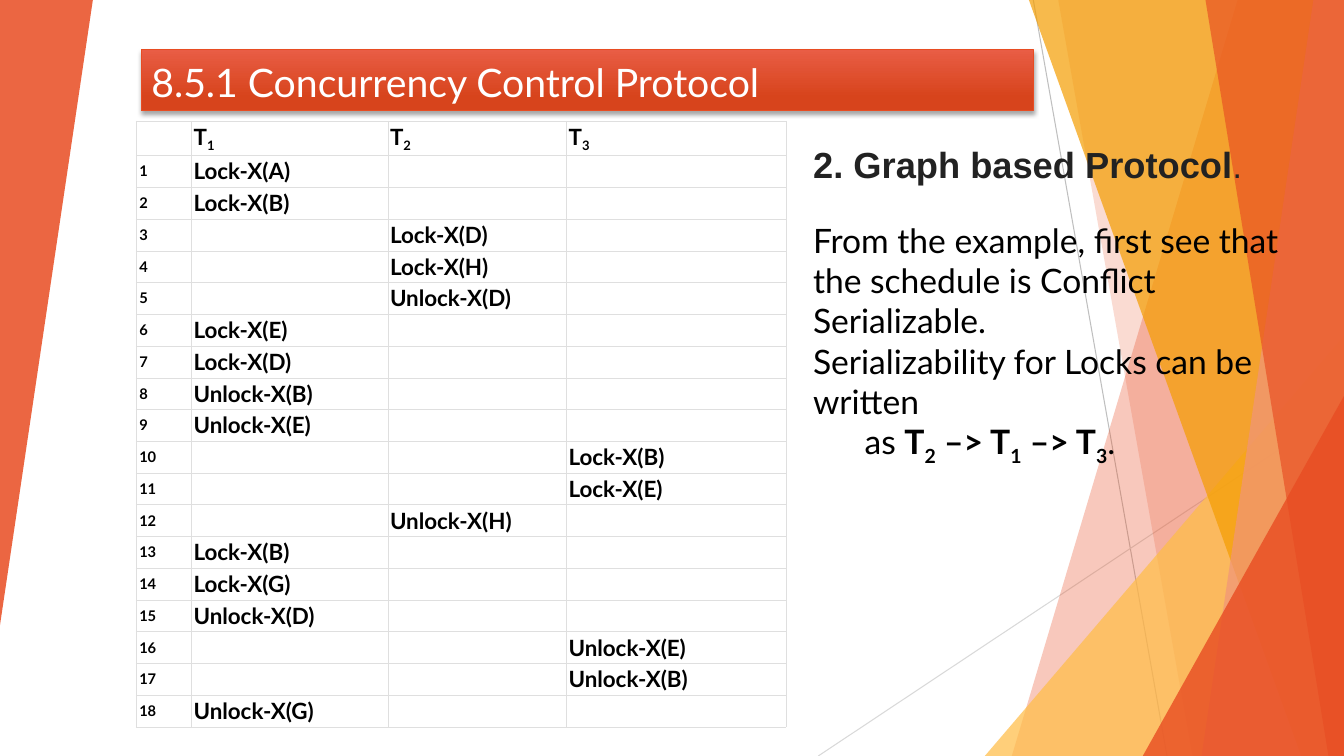
"""Build the concurrency control protocol slide with its lock schedule."""
from lxml.etree import SubElement
from pptx import Presentation
from pptx.dml.color import RGBColor
from pptx.enum.shapes import MSO_CONNECTOR as Connector, MSO_SHAPE as Shape
from pptx.enum.text import MSO_ANCHOR as Anchor, MSO_AUTO_SIZE as AutoSize, PP_ALIGN as Align
from pptx.oxml.ns import qn
from pptx.util import Cm, Pt

COLORS = {
    "white": "FFFFFF", "black": "000000", "ink": "222222",
    "red": "E84C22", "salmon": "F1947A", "amber": "F49D00", "yellow": "FFBD47",
    "title_top": "E95D45", "title_bottom": "D7441C",
    "border": "DFDFDF", "line_dark": "BFBFBF", "line_light": "D9D9D9",
}
WIDTH, HEIGHT = Cm(33.87), Cm(19.05)


def color(name):
    return RGBColor.from_string(COLORS[name])


def write(para, spans, size, font="Lato", ink="black"):
    """Fill a paragraph with (text, bold, subscript) spans."""
    para.font.size, para.font.name = Pt(size), font
    para.font.color.rgb = color(ink)
    for text, bold, subscript in spans:
        span = para.add_run()
        span.text = text
        span.font.bold = bold
        if subscript:
            span.font._element.set("baseline", "-25000")


deck = Presentation()
deck.slide_width, deck.slide_height = WIDTH, HEIGHT
page = deck.slides.add_slide(deck.slide_layouts[0])
title, subtitle = page.placeholders

for start_x, start_y, end_x, tone in [
    (26.04, 0, 29.41, "line_dark"),
    (33.87, 10.24, 20.62, "line_light"),
]:
    ray = page.shapes.add_connector(Connector.STRAIGHT, Cm(start_x), Cm(start_y), Cm(end_x), HEIGHT)
    ray.line.color.rgb = color(tone)
    ray.line.width = Pt(0.75)
    SubElement(ray.element.spPr, qn("a:effectLst"))

# Each sliver is given by its left edge at top and bottom, each triangle by its frame.
facets = [
    ((31.19, 25.5), "red", 30),
    ((26.67, 30.05), "red", 20),
    ((24.82, 8.46, 9.05, 10.59), "yellow", 72),
    ((25.93, 32.79), "amber", 70),
    ((33.1, 30.28), "salmon", 70),
    ((30.38, 33.48), "red", 65),
    ((28.8, 9.98, 5.07, 9.07), "red", 80),
    ((0, 0, 2.34, 15.75), "red", 85),
]
for frame, tone, opacity in facets:
    if len(frame) == 2:
        top_x, bottom_x = map(Cm, frame)
        outline = page.shapes.build_freeform(top_x, 0)
        outline.add_line_segments([(WIDTH, 0), (WIDTH, HEIGHT), (bottom_x, HEIGHT)])
        facet = outline.convert_to_shape()
    else:
        facet = page.shapes.add_shape(Shape.ISOSCELES_TRIANGLE, *map(Cm, frame))
        facet.adjustments[0] = 1
    facet.fill.solid()
    facet.fill.fore_color.rgb = color(tone)
    tint = facet.element.spPr.find(".//" + qn("a:srgbClr"))
    SubElement(tint, qn("a:alpha"), val=str(opacity * 1000))
    facet.line.fill.background()
    facet.shadow.inherit = False
facet.rotation = 180

for holder, frame in [(title, (3.56, 1.24, 22.48, 1.55)), (subtitle, (20.24, 3.35, 12.14, 1.8))]:
    holder.left, holder.top, holder.width, holder.height = map(Cm, frame)
    holder.text_frame.auto_size = AutoSize.NONE
    holder.text_frame.word_wrap = True
    page.shapes.element.append(holder.element)

title.fill.gradient()
title.fill.gradient_angle = 270
for stop, tone, position in zip(title.fill.gradient_stops, ("title_top", "title_bottom"), (0, 0.78)):
    stop.color.rgb = color(tone)
    stop.position = position
title.line.color.rgb = color("red")
title.line.width = Pt(1)
effects = SubElement(title.element.spPr, qn("a:effectLst"))
shadow = SubElement(effects, qn("a:outerShdw"), blurRad=str(Pt(3)), dist=str(Pt(2)),
                    dir="5400000", rotWithShape="0")
shade = SubElement(shadow, qn("a:srgbClr"), val=COLORS["black"])
SubElement(shade, qn("a:alpha"), val="35000")
title.text_frame.vertical_anchor = Anchor.BOTTOM
para = title.text_frame.paragraphs[0]
para.alignment = Align.LEFT
write(para, [("8.5.1 Concurrency Control Protocol", False, False)], 28, ink="white")

subtitle.text_frame.vertical_anchor = Anchor.TOP
subtitle.text_frame.margin_top = Cm(0.23)
para = subtitle.text_frame.paragraphs[0]
para.alignment = Align.JUSTIFY
para.space_before = Pt(0)
write(para, [("2. Graph based Protocol", True, False), (".", False, False)], 25.9, "Arial", "ink")
para.runs[1].font.size = Pt(24.1)

schedule = [
    (1, "Lock-X(A)"), (1, "Lock-X(B)"), (2, "Lock-X(D)"), (2, "Lock-X(H)"), (2, "Unlock-X(D)"),
    (1, "Lock-X(E)"), (1, "Lock-X(D)"), (1, "Unlock-X(B)"), (1, "Unlock-X(E)"),
    (3, "Lock-X(B)"), (3, "Lock-X(E)"), (2, "Unlock-X(H)"), (1, "Lock-X(B)"), (1, "Lock-X(G)"),
    (1, "Unlock-X(D)"), (3, "Unlock-X(E)"), (3, "Unlock-X(B)"), (1, "Unlock-X(G)"),
]
holder = page.shapes.add_table(len(schedule) + 1, 4, Cm(3.43), Cm(3.05), Cm(16.38), Cm(15.23))
table = holder.table
table.first_row = table.horz_banding = False
for column, width in zip(table.columns, (1.4, 4.95, 4.5, 5.53)):
    column.width = Cm(width)
for number, row in enumerate(table.rows):
    row.height = Cm(0.8 if number else 0.83)
    for transaction, cell in enumerate(row.cells):
        cell.margin_left = cell.margin_right = cell.margin_top = cell.margin_bottom = Cm(0.05)
        cell.vertical_anchor = Anchor.MIDDLE
        properties = cell._tc.get_or_add_tcPr()
        for side in ("a:lnL", "a:lnR", "a:lnT", "a:lnB"):
            edge = SubElement(properties, qn(side), w=str(Pt(0.23)))
            SubElement(SubElement(edge, qn("a:solidFill")), qn("a:srgbClr"), val=COLORS["border"])
        cell.fill.solid()
        cell.fill.fore_color.rgb = color("white")
        para = cell.text_frame.paragraphs[0]
        if number == 0 and transaction:
            write(para, [("T", True, False), (str(transaction), True, True)], 16)
        elif number and transaction == 0:
            cell.margin_left = cell.margin_right = Cm(0.08)
            write(para, [(str(number), True, False)], 10.5)
        elif number and schedule[number - 1][0] == transaction:
            write(para, [(schedule[number - 1][1], True, False)], 16)
        else:
            SubElement(para._p, qn("a:endParaRPr"), sz="1050")

box = page.shapes.add_textbox(Cm(20.24), Cm(5.41), Cm(12.75), Cm(6.4))
box.text_frame.word_wrap = True
notes = [
    [("From the example, first see that the schedule is Conflict Serializable.", False, False)],
    [("Serializability for Locks can be written", False, False)],
    [("as ", False, False), ("T", True, False), ("2", True, True), (" –> T", True, False),
     ("1", True, True), (" –> T", True, False), ("3", True, True), (".", False, False)],
]
for index, spans in enumerate(notes):
    para = box.text_frame.add_paragraph() if index else box.text_frame.paragraphs[0]
    write(para, spans, 24)
para._p.get_or_add_pPr().set("marL", str(Cm(1.3)))

deck.save("out.pptx")
